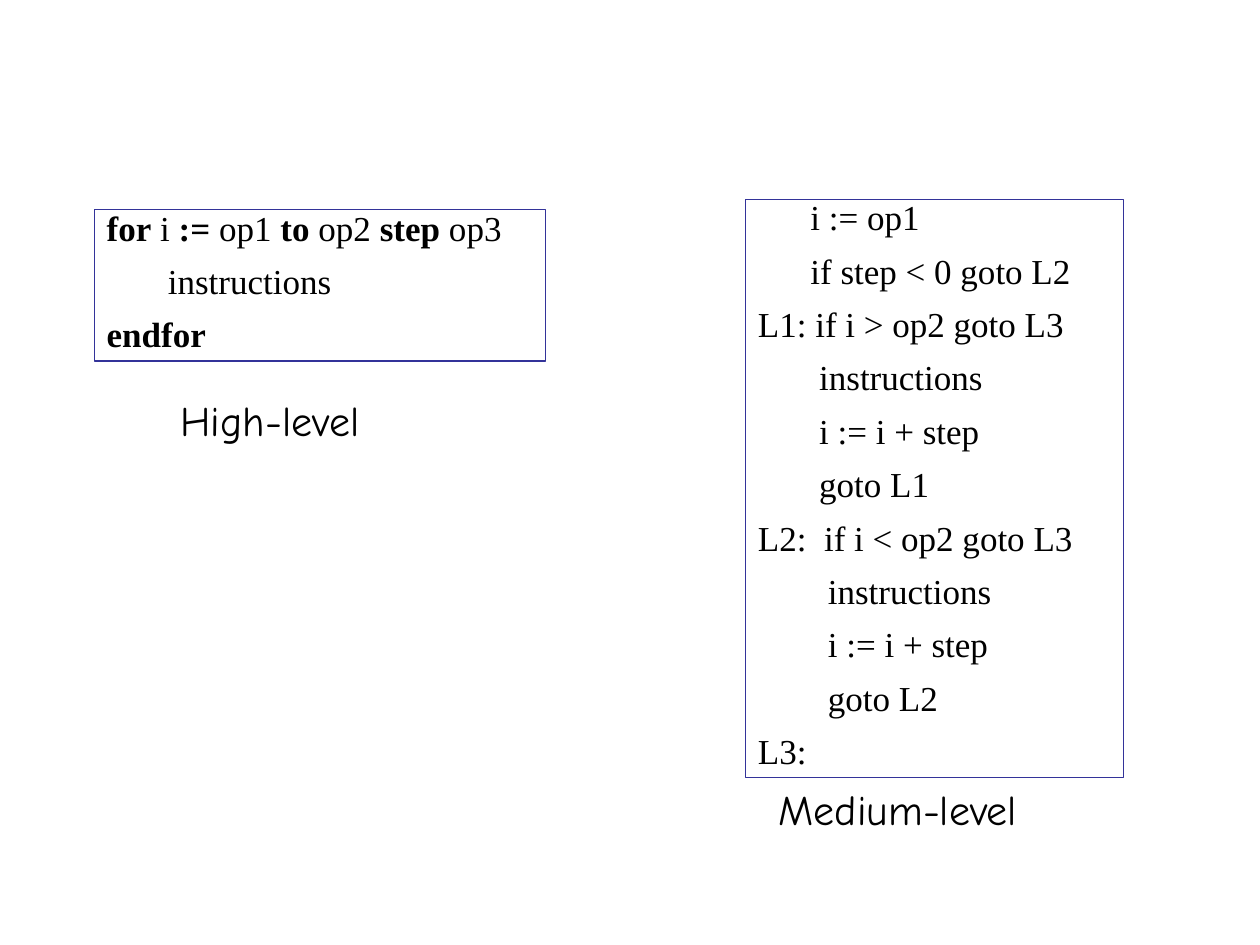
from dataclasses import dataclass

from pptx import Presentation
from pptx.dml.color import RGBColor
from pptx.enum import shapes, text
from pptx.util import Cm, Pt


@dataclass(frozen=True)
class Theme:
    ink: RGBColor = RGBColor(0x00, 0x00, 0x00)
    frame: RGBColor = RGBColor(0x33, 0x33, 0x99)
    code_font: str = "Times New Roman"
    label_font: str = "Comic Neue"
    code_size: float = 20
    label_size: float = 24
    frame_width: float = 0.75
    line_spacing: float = 0.75
    space_before: float = 12.5


@dataclass(frozen=True)
class Area:
    left: float
    top: float
    width: float
    height: float

    def lengths(self) -> tuple:
        return Cm(self.left), Cm(self.top), Cm(self.width), Cm(self.height)


@dataclass(frozen=True)
class Listing:
    code: str
    code_area: Area
    label: str
    label_area: Area


THEME = Theme()

HIGH_LEVEL = """\
**for** i **:=** op1 **to** op2 **step** op3
       instructions
**endfor**"""

MEDIUM_LEVEL = """\
      i := op1
      if step < 0 goto L2
L1: if i > op2 goto L3
       instructions
       i := i + step
       goto L1
L2:  if i < op2 goto L3
        instructions
        i := i + step
        goto L2
L3:"""

LISTINGS = (
    Listing(HIGH_LEVEL, Area(1.9, 4.23, 9.1, 3.05),
            "High-level", Area(3.39, 7.83, 4.87, 1.27)),
    Listing(MEDIUM_LEVEL, Area(15.03, 4.02, 7.62, 11.66),
            "Medium-level", Area(15.45, 15.67, 6.35, 1.27)),
)


def write_text(box, content: str, *, font: str, size: float,
               line_spacing: float = 1.0, space_before: float = 0) -> None:
    """Fill the box line by line; words between ** marks are bold."""
    frame = box.text_frame
    frame.word_wrap = True
    frame.auto_size = text.MSO_AUTO_SIZE.SHAPE_TO_FIT_TEXT
    frame.vertical_anchor = text.MSO_ANCHOR.TOP
    for number, line in enumerate(content.split("\n")):
        para = frame.add_paragraph() if number else frame.paragraphs[0]
        para.alignment = text.PP_ALIGN.LEFT
        para.line_spacing = line_spacing
        para.space_before = Pt(space_before if number else 0)
        for position, words in enumerate(line.split("**")):
            if words:
                span = para.add_run()
                span.text = words
                span.font.name = font
                span.font.size = Pt(size)
                span.font.bold = position % 2 == 1
                span.font.color.rgb = THEME.ink


def draw_listing(page, listing: Listing) -> None:
    box = page.shapes.add_shape(shapes.MSO_SHAPE.RECTANGLE,
                                *listing.code_area.lengths())
    box.shadow.inherit = False
    box.fill.background()
    box.line.color.rgb = THEME.frame
    box.line.width = Pt(THEME.frame_width)
    write_text(box, listing.code, font=THEME.code_font, size=THEME.code_size,
               line_spacing=THEME.line_spacing,
               space_before=THEME.space_before)

    label = page.shapes.add_textbox(*listing.label_area.lengths())
    write_text(label, listing.label, font=THEME.label_font,
               size=THEME.label_size)


def main() -> None:
    deck = Presentation()
    deck.slide_width, deck.slide_height = Cm(25.4), Cm(19.05)
    page = deck.slides.add_slide(deck.slide_layouts[6])
    for listing in LISTINGS:
        draw_listing(page, listing)
    deck.save("out.pptx")


if __name__ == "__main__":
    main()
